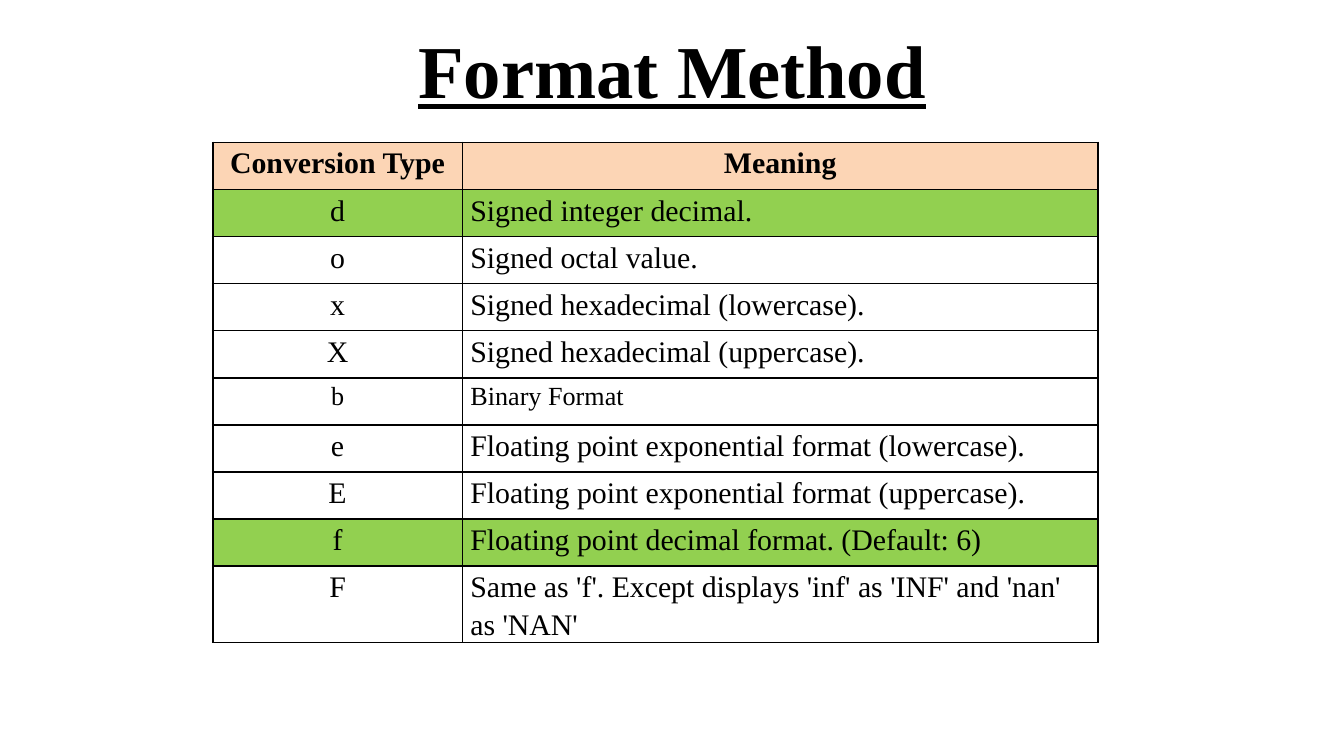
from lxml import etree
from pptx import Presentation
from pptx.dml.color import RGBColor
from pptx.enum.text import MSO_ANCHOR, PP_ALIGN
from pptx.oxml.ns import qn
from pptx.util import Cm, Pt

CENTER, LEFT = PP_ALIGN.CENTER, PP_ALIGN.LEFT
MIDDLE = MSO_ANCHOR.MIDDLE
BLACK = RGBColor(0x00, 0x00, 0x00)
PEACH = RGBColor(0xFC, 0xD5, 0xB5)
GREEN = RGBColor(0x92, 0xD0, 0x50)
FONT = "Times New Roman"
TITLE_ONLY = 5

HEADER = ("Conversion Type", "Meaning")
CONVERSIONS = [
    ("d", "Signed integer decimal."),
    ("o", "Signed octal value."),
    ("x", "Signed hexadecimal (lowercase)."),
    ("X", "Signed hexadecimal (uppercase)."),
    ("b", "Binary Format"),
    ("e", "Floating point exponential format (lowercase)."),
    ("E", "Floating point exponential format (uppercase)."),
    ("f", "Floating point decimal format. (Default: 6)"),
    ("F", "Same as 'f'. Except displays 'inf' as 'INF' and 'nan' as 'NAN'"),
]
ROW_FILLS = {"Conversion Type": PEACH, "d": GREEN, "f": GREEN}
COLUMN_WIDTHS = (Cm(4.72), Cm(12.01))
ROW_HEIGHT = Cm(0.89)


def style_font(para, size, bold):
    para.font.name = FONT
    para.font.size = Pt(size)
    para.font.bold = bold
    para.font.color.rgb = BLACK


def add_borders(cell):
    properties = cell._tc.get_or_add_tcPr()
    for side in ("a:lnL", "a:lnR", "a:lnT", "a:lnB"):
        line = etree.SubElement(properties, qn(side), w=str(Pt(1)))
        fill = etree.SubElement(line, qn("a:solidFill"))
        etree.SubElement(fill, qn("a:srgbClr"), val=str(BLACK))


deck = Presentation()
deck.slide_width, deck.slide_height = Cm(25.4), Cm(14.29)
page = deck.slides.add_slide(deck.slide_layouts[TITLE_ONLY])

title = page.shapes.title
title.left, title.top, title.width, title.height = Cm(1.27), Cm(0.1), Cm(22.86), Cm(2.39)
title.text_frame.text = "Format Method"
title.text_frame.vertical_anchor = MIDDLE
title_para = title.text_frame.paragraphs[0]
title_para.alignment = CENTER
style_font(title_para, 40, True)
title_para.font.underline = True

rows = [HEADER] + CONVERSIONS
table = page.shapes.add_table(
    len(rows), len(HEADER), Cm(4.02), Cm(2.69), sum(COLUMN_WIDTHS), ROW_HEIGHT * len(rows)
).table
for column, width in zip(table.columns, COLUMN_WIDTHS):
    column.width = width

for row_number, texts in enumerate(rows):
    is_header = row_number == 0
    row_fill = ROW_FILLS.get(texts[0])
    size = 14 if texts[0] == "b" else 16
    for column_number, text in enumerate(texts):
        cell = table.cell(row_number, column_number)
        cell.margin_left = cell.margin_right = Cm(0.15)
        cell.margin_top = cell.margin_bottom = 0
        add_borders(cell)
        if row_fill is None:
            cell.fill.background()
        else:
            cell.fill.solid()
            cell.fill.fore_color.rgb = row_fill
        cell.text = text
        para = cell.text_frame.paragraphs[0]
        para.alignment = CENTER if is_header or column_number == 0 else LEFT
        para.line_spacing = 1.15
        style_font(para, size, is_header)

deck.save("out.pptx")
